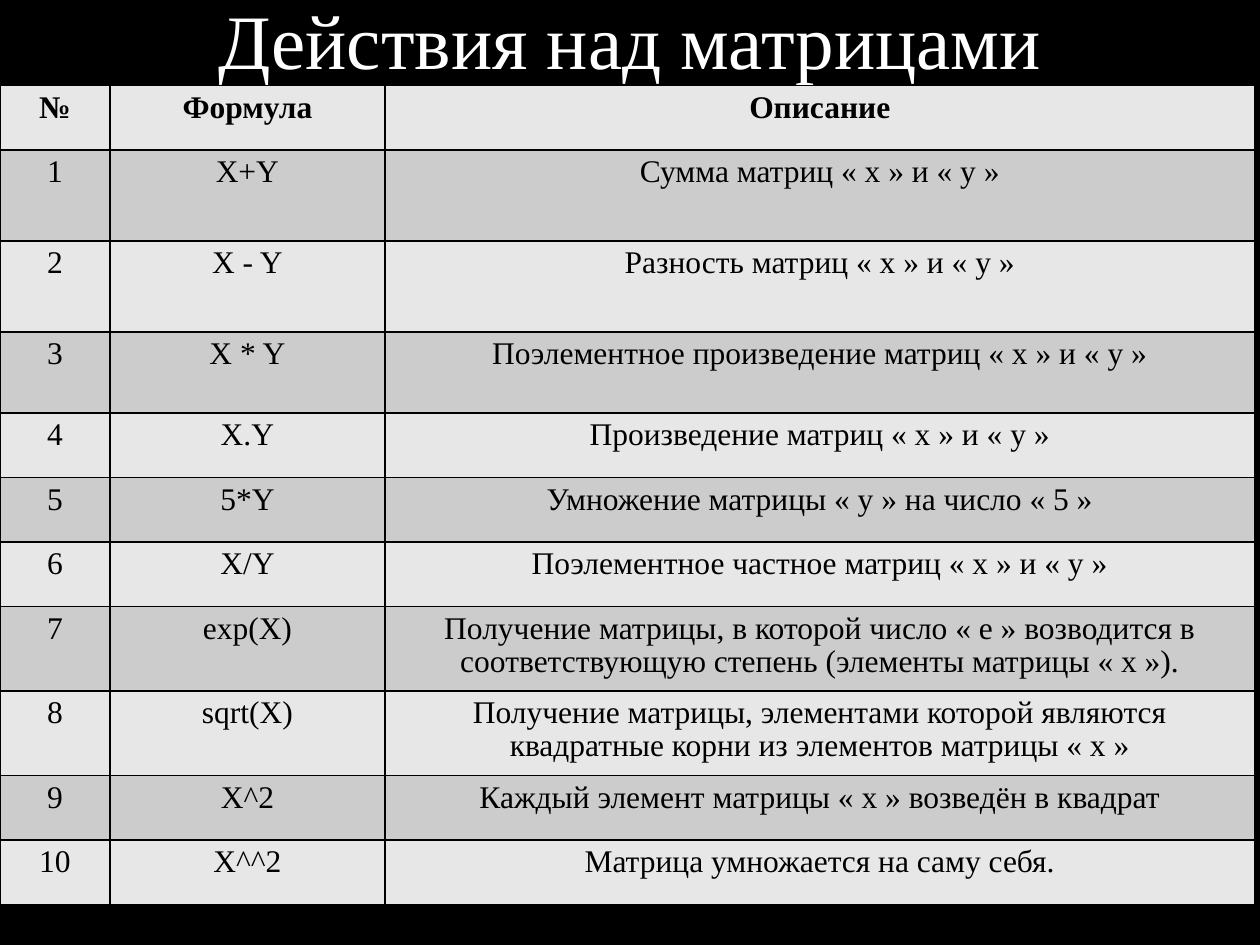
from typing import NamedTuple

from lxml.etree import SubElement
from pptx import Presentation
from pptx.dml.color import RGBColor
from pptx.enum.text import MSO_ANCHOR as Anchor, PP_ALIGN as Align
from pptx.oxml.ns import qn
from pptx.util import Pt

FONT = "Times New Roman"
COLORS = {"black": "000000", "white": "FFFFFF", "light": "E7E7E7", "dark": "CCCCCC"}


class Operation(NamedTuple):
    number: str
    formula: str
    description: str
    height: float = 36.9


HEADER = Operation("№", "Формула", "Описание")
OPERATIONS = [
    Operation("1", "X+Y", "Сумма матриц « x » и « y »", 52),
    Operation("2", "X - Y", "Разность матриц « x » и « y »", 52),
    Operation("3", "X * Y", "Поэлементное произведение матриц « x » и « y »", 46.3),
    Operation("4", "X.Y", "Произведение матриц « x » и « y »"),
    Operation("5", "5*Y", "Умножение матрицы « y » на число « 5 »"),
    Operation("6", "X/Y", "Поэлементное частное матриц « x » и « y »"),
    Operation("7", "exp(X)", "Получение матрицы, в которой число « е » возводится в "
              "соответствующую степень (элементы матрицы « x »)."),
    Operation("8", "sqrt(X)", "Получение матрицы, элементами которой являются "
              "квадратные корни из элементов матрицы « x »"),
    Operation("9", "X^2", "Каждый элемент матрицы « х » возведён в квадрат"),
    Operation("10", "X^^2", "Матрица умножается на саму себя."),
]
WIDTHS = [62.8, 157.2, 497]


def rgb(name: str) -> RGBColor:
    return RGBColor.from_string(COLORS[name])


def write(tf, text: str, size: float, color: str, bold: bool = False) -> None:
    p = tf.paragraphs[0]
    p.alignment = Align.CENTER
    r = p.add_run()
    r.text = text
    r.font.name = FONT
    r.font.size = Pt(size)
    r.font.bold = bold
    r.font.color.rgb = rgb(color)


def set_borders(cell, color: str, width: float) -> None:
    props = cell._tc.get_or_add_tcPr()
    for i, side in enumerate(("lnL", "lnR", "lnT", "lnB")):
        ln = props.makeelement(qn(f"a:{side}"), {"w": str(Pt(width))})
        fill = SubElement(ln, qn("a:solidFill"))
        SubElement(fill, qn("a:srgbClr"), val=COLORS[color])
        props.insert(i, ln)


def add_title(slide, text: str) -> None:
    tf = slide.shapes.add_textbox(Pt(0), Pt(-36), Pt(720), Pt(116)).text_frame
    tf.word_wrap = True
    tf.vertical_anchor = Anchor.MIDDLE
    write(tf, text, 44, "white")


def add_operations(slide, rows: list[Operation]) -> None:
    height = sum(row.height for row in rows)
    table = slide.shapes.add_table(
        len(rows), len(WIDTHS), Pt(0), Pt(48.8), Pt(sum(WIDTHS)), Pt(height)).table
    for column, width in zip(table.columns, WIDTHS):
        column.width = Pt(width)
    for i, row in enumerate(rows):
        table.rows[i].height = Pt(row.height)
        for j, text in enumerate(row[:3]):
            cell = table.cell(i, j)
            cell.fill.solid()
            cell.fill.fore_color.rgb = rgb("dark" if i % 2 else "light")
            write(cell.text_frame, text, 18, "black", bold=i == 0)
            cell.text_frame.paragraphs[0].line_spacing = 0.95
            set_borders(cell, "black", 1)


prs = Presentation()
prs.slide_width, prs.slide_height = Pt(720), Pt(540)
slide = prs.slides.add_slide(prs.slide_layouts[6])
slide.background.fill.solid()
slide.background.fill.fore_color.rgb = rgb("black")
add_title(slide, "Действия над матрицами")
add_operations(slide, [HEADER, *OPERATIONS])
prs.save("out.pptx")
